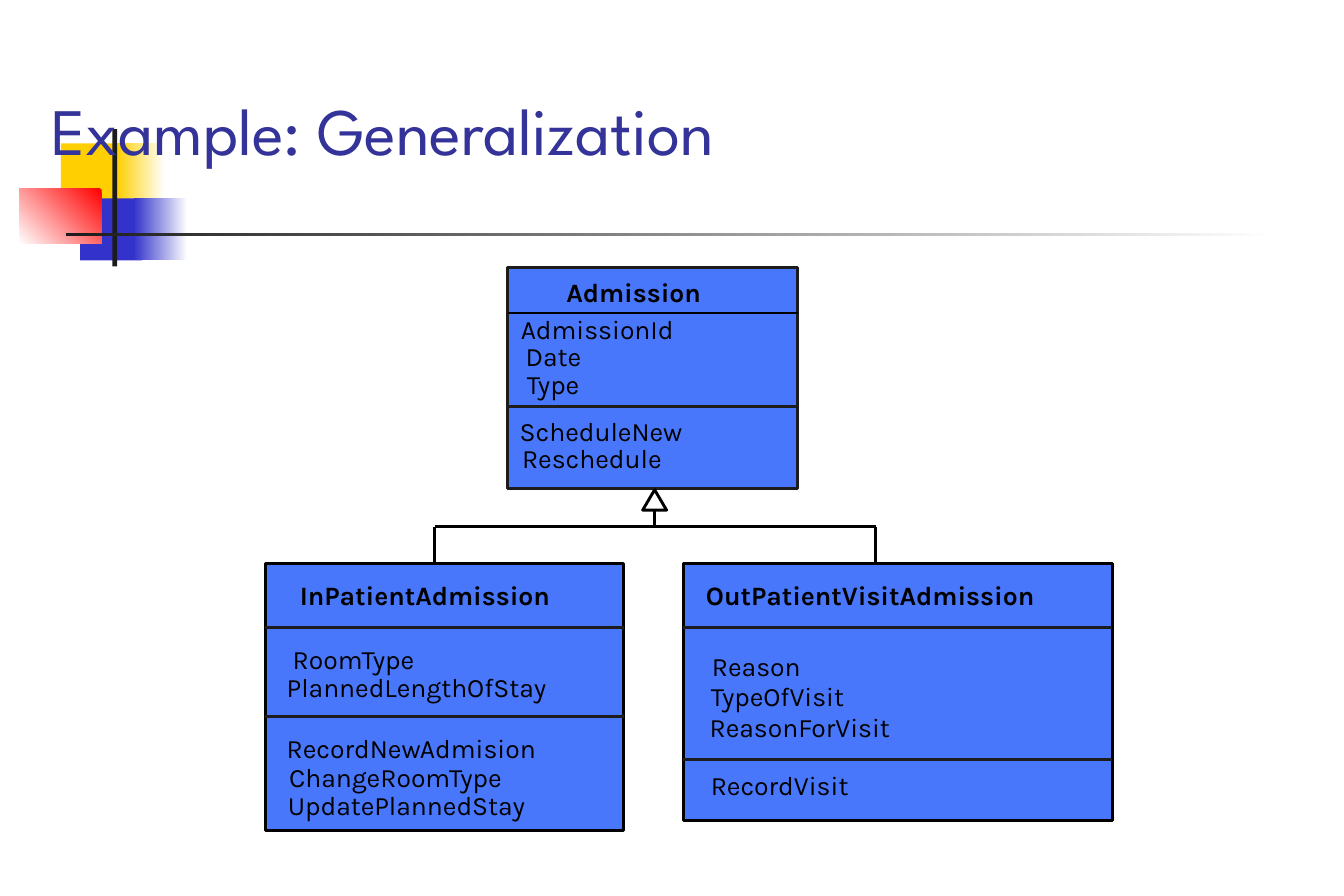
from lxml.etree import SubElement
from pptx import Presentation
from pptx.dml.color import RGBColor
from pptx.enum.shapes import MSO_CONNECTOR, MSO_SHAPE
from pptx.enum.text import MSO_ANCHOR, MSO_AUTO_SIZE
from pptx.oxml.ns import qn
from pptx.util import Inches, Pt

WIDE, HIGH = Inches(11.25), Inches(7.5)
COLS, ROWS = 45, 30
STROKE = Pt(1.75)
COLORS = {
    "white": "FFFFFF", "black": "000000", "ink": "1C1C1C",
    "gold": "FFCF01", "blue": "3333CC", "red": "FF0000",
    "navy": "333399", "sky": "4877FC",
}

DECOR = [
    (2.04, 4.8, 2.16, 2.08, ["gold"]),
    (3.92, 4.8, 1.6, 2.08, ["white", "gold", 180]),
    (2.68, 6.64, 2.08, 2.08, ["blue"]),
    (4.48, 6.64, 1.8, 2.08, ["white", "blue", 180]),
    (0.64, 6.32, 2.76, 1.84, ["red", "white", 225]),
    (3.76, 4.32, 0.16, 4.6, ["ink"]),
    (2.2, 7.8, 40.48, 0.12, ["white", "ink", 180]),
]

CLASSES = [
    {
        "box": (17, 8.96, 9.72, 7.4), "edge": "ink", "pitch": 0.92,
        "rules": [(10.48, "black"), (13.6, "ink")],
        "head": (18.96, 9.24, 4.6, "Admission"),
        "parts": [
            (10.48, [(17.44, 5.2, "AdmissionId"), (17.6, 1.96, "Date"),
                     (17.64, 2, "Type")]),
            (13.88, [(17.4, 5.64, "ScheduleNew"), (17.48, 4.76, "Reschedule")]),
        ],
    },
    {
        "box": (8.88, 18.88, 12, 8.92), "edge": "black", "pitch": 0.95,
        "rules": [(21, "ink"), (24, "ink")],
        "head": (10.04, 19.4, 8.76, "InPatientAdmission"),
        "parts": [
            (21.52, [(9.8, 4.44, "RoomType"), (9.6, 9.08, "PlannedLengthOfStay")]),
            (24.52, [(9.6, 8.72, "RecordNewAdmision"),
                     (9.68, 7.64, "ChangeRoomType"),
                     (9.64, 8.24, "UpdatePlannedStay")]),
        ],
    },
    {
        "box": (22.88, 18.88, 14.36, 8.6), "edge": "black", "pitch": 1.02,
        "rules": [(21, "ink"), (25.44, "ink")],
        "head": (23.64, 19.4, 11.44, "OutPatientVisitAdmission"),
        "parts": [
            (21.76, [(23.84, 3.08, "Reason"), (23.8, 4.72, "TypeOfVisit"),
                     (23.76, 6.16, "ReasonForVisit")]),
            (25.76, [(23.8, 4.68, "RecordVisit")]),
        ],
    },
]


def col(n):
    return round(WIDE * n / COLS)


def row(n):
    return round(HIGH * n / ROWS)


def rgb(name):
    return RGBColor.from_string(COLORS[name])


def paint(shape, fill, edge=None):
    shape.shadow.inherit = False
    if len(fill) == 1:
        shape.fill.solid()
        shape.fill.fore_color.rgb = rgb(fill[0])
    else:
        start, end, angle = fill
        shape.fill.gradient()
        shape.fill.gradient_angle = angle
        for stop, name, spot in zip(shape.fill.gradient_stops, (start, end), (0, 1)):
            stop.color.rgb = rgb(name)
            stop.position = spot
    if edge:
        shape.line.color.rgb = rgb(edge)
        shape.line.width = STROKE
    else:
        shape.line.fill.background()


def block(slide, x, y, w, h, fill, edge=None):
    shape = slide.shapes.add_shape(
        MSO_SHAPE.RECTANGLE, col(x), row(y), col(w), row(h))
    paint(shape, fill, edge)


def line(slide, x1, y1, x2, y2, color="black"):
    link = slide.shapes.add_connector(
        MSO_CONNECTOR.STRAIGHT, col(x1), row(y1), col(x2), row(y2))
    link.line.color.rgb = rgb(color)
    link.line.width = STROKE
    SubElement(link._element.spPr, qn("a:effectLst"))


def write(slide, x, y, w, h, text, size, face, color, bold=False):
    frame = slide.shapes.add_textbox(col(x), row(y), col(w), row(h)).text_frame
    para = frame.paragraphs[0]
    para.text = text
    font = para.font
    font.size, font.name, font.bold = Pt(size), face, bold
    font.color.rgb = rgb(color)
    return frame


def label(slide, x, y, w, text, bold=False):
    frame = write(slide, x, y, w, 1.08, text, 16, "Karla", "black", bold)
    frame.margin_left = frame.margin_right = 0
    frame.margin_top = frame.margin_bottom = 0
    frame.word_wrap = False
    frame.auto_size = MSO_AUTO_SIZE.SHAPE_TO_FIT_TEXT


def title(slide, text):
    frame = write(slide, 1.32, 0.84, 36.32, 5, text, 40, "League Spartan", "navy")
    frame.word_wrap = True
    frame.vertical_anchor = MSO_ANCHOR.BOTTOM


def entity(slide, box, edge, pitch, rules, head, parts):
    x, y, w, h = box
    block(slide, x, y, w, h, ["sky"], edge)
    for level, color in rules:
        line(slide, x, level, x + w, level, color)
    label(slide, *head, bold=True)
    for top, names in parts:
        for i, (left, width, text) in enumerate(names):
            label(slide, left, top + i * pitch, width, text)


def tree(slide):
    mid, tip, base, bar, foot = 21.92, 16.4, 17.08, 17.64, 18.88
    left, right, half = 14.56, 29.32, 0.4
    path = slide.shapes.build_freeform(col(mid), row(tip))
    path.add_line_segments(
        [(col(mid + half), row(base)), (col(mid - half), row(base))], close=True)
    paint(path.convert_to_shape(), ["white"], "black")
    line(slide, mid, base, mid, bar)
    line(slide, left, bar, right, bar)
    for x in (left, right):
        line(slide, x, bar, x, foot)


def main():
    deck = Presentation()
    deck.slide_width, deck.slide_height = WIDE, HIGH
    slide = deck.slides.add_slide(deck.slide_layouts[6])
    for item in DECOR:
        block(slide, *item)
    title(slide, "Example: Generalization")
    for item in CLASSES:
        entity(slide, **item)
    tree(slide)
    deck.save("out.pptx")


if __name__ == "__main__":
    main()
